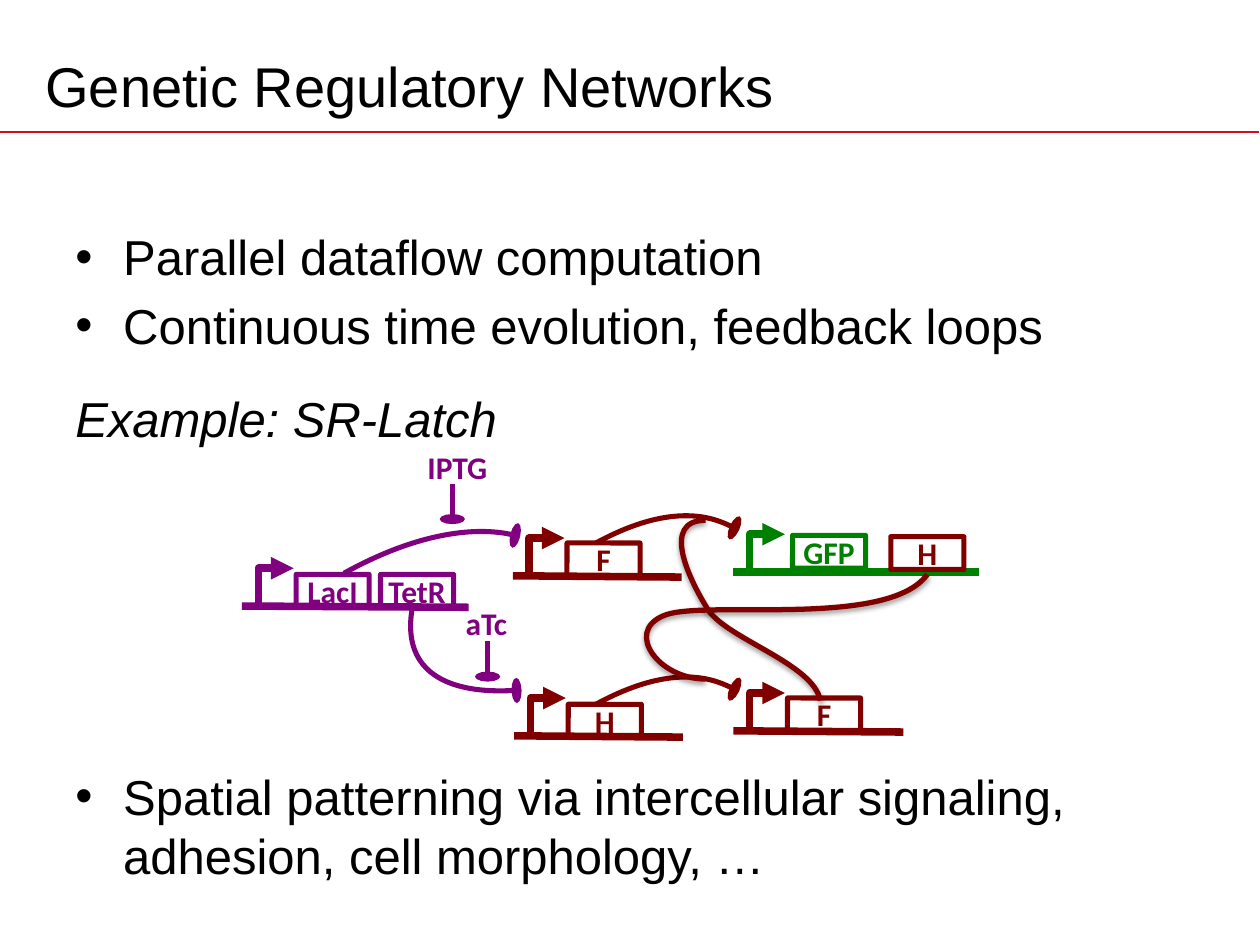
from dataclasses import dataclass
from typing import NamedTuple

from lxml.etree import SubElement
from pptx import Presentation
from pptx.dml.color import RGBColor
from pptx.enum.shapes import MSO_CONNECTOR as Connector, MSO_SHAPE as Shape
from pptx.enum.text import MSO_ANCHOR as Anchor, PP_ALIGN as Align
from pptx.oxml.ns import qn
from pptx.util import Inches, Pt


@dataclass(frozen=True)
class Theme:
    black: str = "000000"
    rule: str = "CE1126"
    purple: str = "800080"
    maroon: str = "800000"
    green: str = "008000"
    heading_font: str = "Arial"
    gene_font: str = "Calibri"
    title_size: float = 32
    body_size: float = 28
    gene_size: float = 18
    rule_width: float = 1
    dna_width: float = 4.31
    gene_width: float = 2.89
    feedback_width: float = 3


THEME = Theme()
Point = tuple[float, float]


class Tip(NamedTuple):
    kind: str
    width: str
    length: str


PROMOTER_TIP = Tip("triangle", "med", "med")
REPRESSOR_TIP = Tip("oval", "lg", "sm")


class Gene(NamedTuple):
    label: str
    left: float
    top: float
    color: str


class Operon(NamedTuple):
    left: float
    top: float
    length: float
    drop: float
    color: str
    genes: tuple[Gene, ...]


class Inducer(NamedTuple):
    label: str
    left: float
    top: float
    stem_x: float
    stem_top: float


class Regulation(NamedTuple):
    points: tuple[Point, ...]
    color: str


class Entry(NamedTuple):
    text: str
    before: float
    bullet: bool = True
    italic: bool = False


OPERONS = (
    Operon(1.92, 4.81, 1.8, 0.01, THEME.purple,
           (Gene("LacI", 2.35, 4.56, THEME.purple), Gene("TetR", 3.02, 4.56, THEME.purple))),
    Operon(4.07, 4.57, 1.34, 0.01, THEME.maroon, (Gene("F", 4.5, 4.31, THEME.maroon),)),
    Operon(5.82, 4.54, 1.95, 0, THEME.green,
           (Gene("GFP", 6.29, 4.25, THEME.green), Gene("H", 7.07, 4.26, THEME.maroon))),
    Operon(4.08, 5.84, 1.34, 0.01, THEME.maroon, (Gene("H", 4.51, 5.59, THEME.maroon),)),
    Operon(5.82, 5.8, 1.35, 0.01, THEME.maroon, (Gene("F", 6.25, 5.54, THEME.maroon),)),
)
INDUCERS = (Inducer("IPTG", 3.23, 3.56, 3.59, 3.84), Inducer("aTc", 3.46, 4.79, 3.87, 5.09))
REPRESSIONS = (
    Regulation(((2.73, 4.55), (3.38, 4.19), (3.87, 4.19), (4.09, 4.25)), THEME.purple),
    Regulation(((3.27, 4.84), (3.16, 5.54), (4.1, 5.48), (4.1, 5.48)), THEME.purple),
    Regulation(((4.73, 4.31), (5.39, 3.95), (5.83, 4.19), (5.83, 4.19)), THEME.maroon),
    Regulation(((4.73, 5.59), (5.39, 5.23), (5.83, 5.47), (5.83, 5.47)), THEME.maroon),
)
FEEDBACKS = (
    Regulation(((6.51, 5.56), (6.46, 5.27), (5.77, 5.07), (5.62, 4.84),
                (5.47, 4.6), (5.24, 4.13), (5.6, 4.13)), THEME.maroon),
    Regulation(((7.36, 4.56), (7.04, 5), (5.55, 4.75), (5.26, 4.89),
                (4.96, 5.02), (5.23, 5.39), (5.6, 5.39)), THEME.maroon),
)
ENTRIES = (
    Entry("Parallel dataflow computation", 0),
    Entry("Continuous time evolution, feedback loops", 5.6),
    Entry("Example: SR-Latch", 19.4, bullet=False, italic=True),
    Entry("Spatial patterning via intercellular signaling, adhesion, cell morphology, …", 182.3),
)


def write(paragraph, text: str, *, size: float, font: str, color: str,
          bold: bool = False, italic: bool = False, align=Align.LEFT) -> None:
    paragraph.alignment = align
    run = paragraph.add_run()
    run.text = text
    run.font.size, run.font.name = Pt(size), font
    run.font.bold, run.font.italic = bold, italic
    run.font.color.rgb = RGBColor.from_string(color)


def write_label(frame, text: str, color: str) -> None:
    frame.margin_left = frame.margin_right = frame.margin_top = frame.margin_bottom = 0
    write(frame.paragraphs[0], text, size=THEME.gene_size, font=THEME.gene_font,
          color=color, bold=True, align=Align.CENTER)


def style_line(stroke, color: str, width: float, tip: Tip | None = None) -> None:
    stroke.line.color.rgb = RGBColor.from_string(color)
    stroke.line.width = Pt(width)
    if tip:
        SubElement(stroke.line._get_or_add_ln(), qn("a:tailEnd"),
                   type=tip.kind, w=tip.width, len=tip.length)


def draw_line(shapes, start: Point, end: Point, color: str, width: float,
              tip: Tip | None = None) -> None:
    line = shapes.add_connector(Connector.STRAIGHT, *map(Inches, start + end))
    style_line(line, color, width, tip)
    SubElement(line._element.spPr, qn("a:effectLst"))


def draw_route(shapes, points: tuple[Point, ...], color: str, width: float,
               tip: Tip | None = None):
    start, *stops = [(Inches(x), Inches(y)) for x, y in points]
    builder = shapes.build_freeform(*start)
    builder.add_line_segments(stops, close=False)
    route = builder.convert_to_shape()
    route.fill.background()
    style_line(route, color, width, tip)
    route.shadow.inherit = False
    return route


def draw_curve(shapes, points: tuple[Point, ...], color: str, width: float,
               tip: Tip | None = None):
    curve = draw_route(shapes, points, color, width, tip)
    outline = next(curve._element.iter(qn("a:path")))
    segments = outline.findall(qn("a:lnTo"))
    for first in range(0, len(segments), 3):
        bezier = SubElement(outline, qn("a:cubicBezTo"))
        for segment in segments[first:first + 3]:
            bezier.append(segment[0])
            outline.remove(segment)
    return curve


def add_shadow(curve) -> None:
    effects = curve._element.spPr.find(qn("a:effectLst"))
    shadow = SubElement(effects, qn("a:outerShdw"), blurRad=str(Pt(3.1)), dist=str(Pt(1.6)),
                        dir="5400000", rotWithShape="0")
    tint = SubElement(shadow, qn("a:srgbClr"), val=THEME.black)
    SubElement(tint, qn("a:alpha"), val="38000")


def draw_gene(shapes, gene: Gene) -> None:
    box = shapes.add_shape(Shape.ROUNDED_RECTANGLE, Inches(gene.left), Inches(gene.top),
                           Inches(0.58), Inches(0.26))
    box.adjustments[0] = 0.006
    box.fill.background()
    style_line(box, gene.color, THEME.gene_width)
    box.shadow.inherit = False
    box.text_frame.vertical_anchor = Anchor.MIDDLE
    write_label(box.text_frame, gene.label, gene.color)


def draw_operon(shapes, operon: Operon) -> None:
    draw_line(shapes, (operon.left, operon.top),
              (operon.left + operon.length, operon.top + operon.drop),
              operon.color, THEME.dna_width)
    x, y, reach = operon.left + 0.13, operon.top - 0.3, 0.28
    draw_route(shapes, ((x, y + reach), (x, y), (x + reach, y)),
               operon.color, THEME.dna_width, PROMOTER_TIP)


def draw_inducer(shapes, inducer: Inducer) -> None:
    draw_line(shapes, (inducer.stem_x, inducer.stem_top),
              (inducer.stem_x, inducer.stem_top + 0.28),
              THEME.purple, THEME.gene_width, REPRESSOR_TIP)
    label = shapes.add_textbox(Inches(inducer.left), Inches(inducer.top), Inches(0.8), Inches(0.34))
    label.text_frame.word_wrap = True
    write_label(label.text_frame, inducer.label, THEME.purple)


def draw_entries(shapes) -> None:
    frame = shapes.add_textbox(Inches(0.5), Inches(1.75), Inches(9), Inches(4.95)).text_frame
    frame.word_wrap = True
    for index, entry in enumerate(ENTRIES):
        paragraph = frame.paragraphs[0] if index == 0 else frame.add_paragraph()
        paragraph.space_before, paragraph.line_spacing = Pt(entry.before), Pt(33.7)
        properties = paragraph._p.get_or_add_pPr()
        properties.set("marL", str(Inches(0.38)))
        properties.set("indent", str(Inches(-0.38)))
        if entry.bullet:
            SubElement(properties, qn("a:buFont"), typeface=THEME.heading_font)
            SubElement(properties, qn("a:buChar"), char="•")
        write(paragraph, entry.text, size=THEME.body_size, font=THEME.heading_font,
              color=THEME.black, italic=entry.italic)


def main() -> None:
    deck = Presentation()
    deck.slide_width, deck.slide_height = Inches(10), Inches(7.5)
    slide = deck.slides.add_slide(deck.slide_layouts[5])
    shapes, title = slide.shapes, slide.shapes.title
    title.left, title.top, title.width, title.height = map(Inches, (0.26, 0.3, 9, 0.75))
    title.text_frame.vertical_anchor = Anchor.MIDDLE
    write(title.text_frame.paragraphs[0], "Genetic Regulatory Networks", size=THEME.title_size,
          font=THEME.heading_font, color=THEME.black)
    draw_line(shapes, (0, 1.05), (9.99, 1.05), THEME.rule, THEME.rule_width)
    draw_entries(shapes)
    for operon in OPERONS:
        draw_operon(shapes, operon)
    for inducer in INDUCERS:
        draw_inducer(shapes, inducer)
    for link in REPRESSIONS:
        draw_curve(shapes, link.points, link.color, THEME.gene_width, REPRESSOR_TIP)
    for feedback in FEEDBACKS:
        add_shadow(draw_curve(shapes, feedback.points, feedback.color, THEME.feedback_width))
    for operon in OPERONS:
        for gene in operon.genes:
            draw_gene(shapes, gene)
    deck.save("out.pptx")


if __name__ == "__main__":
    main()
